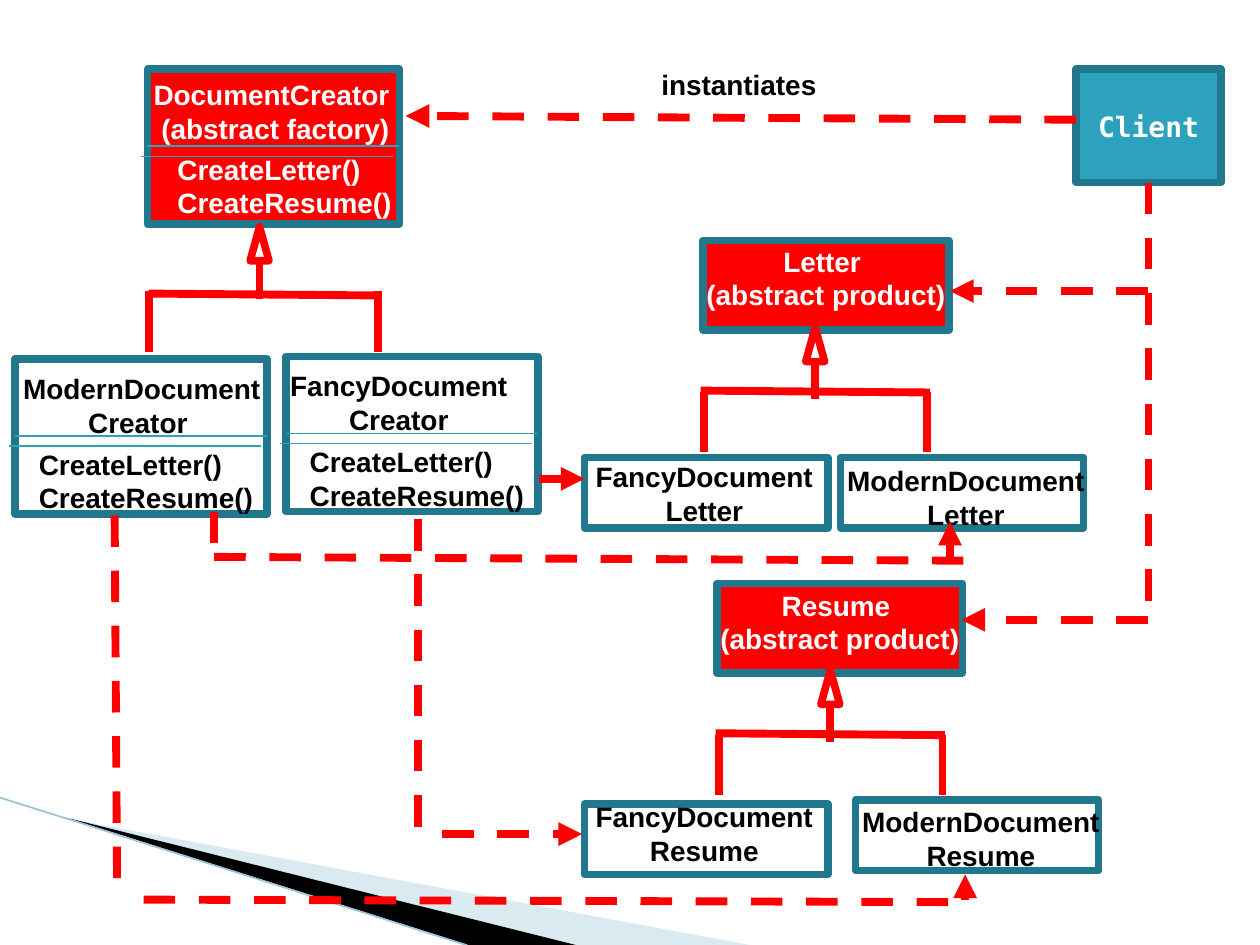
from dataclasses import dataclass
from typing import Optional

from lxml.etree import SubElement
from pptx import Presentation
from pptx.dml.color import RGBColor
from pptx.enum.dml import MSO_LINE
from pptx.enum.shapes import MSO_CONNECTOR, MSO_SHAPE
from pptx.enum.text import MSO_ANCHOR, MSO_AUTO_SIZE, PP_ALIGN
from pptx.oxml.ns import qn
from pptx.util import Inches, Pt


@dataclass(frozen=True)
class Theme:
    """Colours, type and line weights of the diagram."""
    red: str = "FF0000"
    teal: str = "2DA2BF"
    frame: str = "21788D"
    pale: str = "A0CBDC"
    edge: str = "97C5D8"
    black: str = "000000"
    white: str = "FFFFFF"
    sans: str = "Arial"
    mono: str = "DejaVu Sans Mono"
    size: float = 16
    border: float = 4.33
    route: float = 4.5
    hairline: float = 0.75
    edge_line: float = 0.95


@dataclass(frozen=True)
class Box:
    """A framed rectangle in grid units."""
    left: float
    top: float
    width: float
    height: float
    fill: Optional[str] = None


@dataclass(frozen=True)
class Label:
    """Lines of text in a text box in grid units."""
    left: float
    top: float
    width: float
    lines: tuple
    color: str
    centred: bool = True
    wrap: bool = False
    level: int = 0
    height: float = 6.4


@dataclass(frozen=True)
class Tree:
    """An inheritance arrow whose bar and legs are offset from its apex."""
    x: float
    y: float
    bar: float = -9.1
    bar_drop: float = 5
    right_leg: float = 8.9


@dataclass(frozen=True)
class Route:
    """A dashed dependency line, with or without an arrowhead."""
    x1: float
    y1: float
    x2: float
    y2: float
    arrow: bool = False


THEME = Theme()
COLUMNS, ROWS = 100, 75
WIDTH, HEIGHT = Inches(10), Inches(7.5)
METHODS = ("CreateLetter()", "CreateResume()")
ABSTRACT = " (abstract product)"

CLIENT = Box(85.4, 5.5, 11.5, 9, THEME.teal)
CREATORS = (Box(11.7, 5.5, 20, 12.3, THEME.red), Box(1.2, 28.5, 20, 12.3), Box(22.7, 28.3, 20, 12.3))
PRODUCTS = (
    Box(55.8, 19.1, 19.5, 7.1, THEME.red), Box(56.9, 46.3, 19.5, 7.1, THEME.red),
    Box(46.4, 36.3, 19.3, 5.6), Box(66.7, 36.3, 19.3, 5.6),
    Box(67.9, 63.5, 19.3, 5.6), Box(46.4, 63.8, 19.3, 5.6),
)
TREES = (Tree(20.6, 18, -8.8, 5.3, 9.4), Tree(64.7, 26), Tree(65.9, 53.2))
LABELS = (
    Label(11.2, 5.7, 21.1, ("DocumentCreator", " (abstract factory)"), THEME.white, centred=False),
    Label(13.1, 11.6, 19.2, METHODS, THEME.white, centred=False),
    Label(0.7, 29, 21.1, ("ModernDocument", "Creator "), THEME.black),
    Label(2.1, 35, 19.2, METHODS, THEME.black, centred=False),
    Label(16.9, 28.8, 24.5, ("FancyDocument", "Creator"), THEME.black, level=1),
    Label(23.6, 34.8, 19.2, METHODS, THEME.black, centred=False),
    Label(46.6, 18.9, 37.3, ("Letter", ABSTRACT), THEME.white, wrap=True),
    Label(47.7, 46.2, 37.3, ("Resume", ABSTRACT), THEME.white, wrap=True),
    Label(46.2, 36, 19.4, ("FancyDocument", "Letter"), THEME.black),
    Label(65.9, 36.3, 21.5, ("ModernDocument", "Letter"), THEME.black, height=7),
    Label(67.3, 63.4, 21.1, ("ModernDocument", "Resume"), THEME.black),
    Label(46.2, 63, 19.4, ("FancyDocument", "Resume"), THEME.black),
    Label(51.5, 4.9, 15.2, ("instantiates",), THEME.black, centred=False, wrap=True, height=3.7),
)
CLIENT_TRUNK = Route(91.15, 14.5, 91.15, 49.2)
ROUTES = (
    Route(85.4, 9.5, 32.2, 9.2, True),
    Route(91.1, 23.1, 75.4, 23.1, True), Route(91.1, 49.2, 76.3, 49.2, True),
    Route(42.8, 38, 46.4, 38, True),
    Route(33.2, 41.2, 33.2, 66.6), Route(35.1, 66.2, 46.2, 66.2, True),
    Route(9.1, 40.9, 9.3, 71.4), Route(11.4, 71.4, 76.6, 71.6), Route(76.6, 71.4, 76.6, 69.4, True),
    Route(17, 40.6, 17, 44.5), Route(17, 44.2, 76.6, 44.5), Route(75.4, 44.3, 75.4, 41.4, True),
)


def across(columns: float) -> int:
    """Turn grid columns into a length."""
    return round(WIDTH * columns / COLUMNS)


def down(rows: float) -> int:
    """Turn grid rows into a length."""
    return round(HEIGHT * rows / ROWS)


def rgb(value: str) -> RGBColor:
    """Turn a hexadecimal value into a colour."""
    return RGBColor.from_string(value)


def draw_line(page, x1: float, y1: float, x2: float, y2: float, color: str, weight: float):
    """Draw a straight line without a shadow."""
    line = page.shapes.add_connector(MSO_CONNECTOR.STRAIGHT, across(x1), down(y1), across(x2), down(y2))
    line.line.color.rgb = rgb(color)
    line.line.width = Pt(weight)
    SubElement(line._element.spPr, qn("a:effectLst"))
    return line


def draw_route(page, route: Route):
    """Draw a dashed red dependency line."""
    line = draw_line(page, route.x1, route.y1, route.x2, route.y2, THEME.red, THEME.route)
    line.line.dash_style = MSO_LINE.DASH
    if route.arrow:
        SubElement(line.line._get_or_add_ln(), qn("a:tailEnd"), type="triangle")
    return line


def draw_box(page, box: Box, border: str = THEME.frame, kind=MSO_SHAPE.RECTANGLE):
    """Draw a framed shape, filled or hollow."""
    shape = page.shapes.add_shape(kind, across(box.left), down(box.top), across(box.width), down(box.height))
    shape.shadow.inherit = False
    if box.fill:
        shape.fill.solid()
        shape.fill.fore_color.rgb = rgb(box.fill)
    else:
        shape.fill.background()
    shape.line.color.rgb = rgb(border)
    shape.line.width = Pt(THEME.border)
    return shape


def draw_creator(page, box: Box) -> None:
    """Draw a creator class with its double divider."""
    draw_box(page, box)
    for shift, drop in ((0, 6.1), (-0.5, 6.9)):
        left, top = box.left + shift, box.top + drop
        draw_line(page, left, top, left + box.width, top, THEME.teal, THEME.hairline)


def draw_tree(page, tree: Tree) -> None:
    """Draw a hollow arrowhead, its stem, a bar and two legs."""
    draw_box(page, Box(tree.x - 0.75, tree.y, 1.5, 2.7), THEME.red, MSO_SHAPE.ISOSCELES_TRIANGLE)
    segments = (
        (tree.bar, tree.bar_drop, tree.bar + 18.2, tree.bar_drop + 0.15),
        (-8.8, 5.1, -8.8, 9.9), (tree.right_leg, 5.1, tree.right_leg, 9.9), (0, 2.7, 0, 5.7),
    )
    for x1, y1, x2, y2 in segments:
        draw_line(page, tree.x + x1, tree.y + y1, tree.x + x2, tree.y + y2, THEME.red, THEME.route)


def write(frame, lines: tuple, color: str, font: str, centred: bool, level: int = 0) -> None:
    """Write bold lines, one paragraph each."""
    for index, words in enumerate(lines):
        para = frame.add_paragraph() if index else frame.paragraphs[0]
        para.level = level
        para.alignment = PP_ALIGN.CENTER if centred else PP_ALIGN.LEFT
        span = para.add_run()
        span.text = words
        span.font.name, span.font.size, span.font.bold = font, Pt(THEME.size), True
        span.font.color.rgb = rgb(color)


def draw_label(page, label: Label) -> None:
    """Draw a text box that grows with its text."""
    box = page.shapes.add_textbox(across(label.left), down(label.top), across(label.width), down(label.height))
    frame = box.text_frame
    frame.word_wrap = label.wrap
    frame.auto_size = MSO_AUTO_SIZE.SHAPE_TO_FIT_TEXT
    write(frame, label.lines, label.color, THEME.sans, label.centred, label.level)


def draw_wedge(page, points: tuple, color: str, opacity: int = 100) -> None:
    """Draw a plain corner wedge."""
    start, *rest = [(across(x), down(y)) for x, y in points]
    builder = page.shapes.build_freeform(*start)
    builder.add_line_segments(rest, close=True)
    wedge = builder.convert_to_shape()
    wedge.shadow.inherit = False
    wedge.fill.solid()
    wedge.fill.fore_color.rgb = rgb(color)
    wedge.line.fill.background()
    if opacity < 100:
        tint = wedge._element.spPr.find(qn("a:solidFill"))[0]
        SubElement(tint, qn("a:alpha"), val=str(opacity * 1000))


def main() -> None:
    """Build the class diagram and save it."""
    deck = Presentation()
    deck.slide_width, deck.slide_height = WIDTH, HEIGHT
    page = deck.slides.add_slide(deck.slide_layouts[6])
    draw_wedge(page, ((5.5, 65), (59.5, 75), (45.6, 75)), THEME.pale, 40)
    draw_wedge(page, ((5.3, 64.9), (45.7, 75), (37.2, 75)), THEME.black)
    draw_line(page, 0, 63.3, 37, 75, THEME.edge, THEME.edge_line)
    for creator in CREATORS:
        draw_creator(page, creator)
    for product in PRODUCTS:
        draw_box(page, product)
    client = draw_box(page, CLIENT)
    client.text_frame.vertical_anchor = MSO_ANCHOR.MIDDLE
    write(client.text_frame, ("Client",), THEME.white, THEME.mono, True)
    for tree in TREES:
        draw_tree(page, tree)
    for label in LABELS:
        draw_label(page, label)
    draw_route(page, CLIENT_TRUNK).begin_connect(client, 2)
    for route in ROUTES:
        draw_route(page, route)
    deck.save("out.pptx")


if __name__ == "__main__":
    main()
